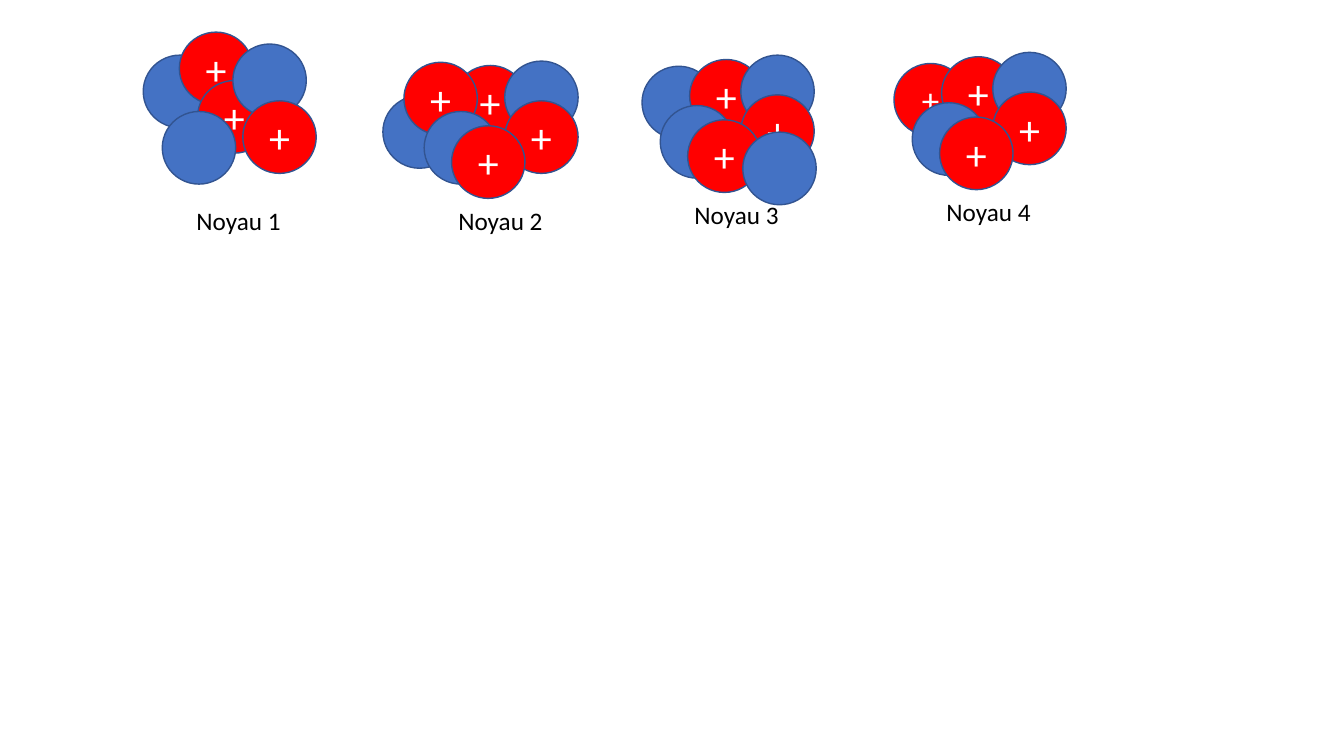
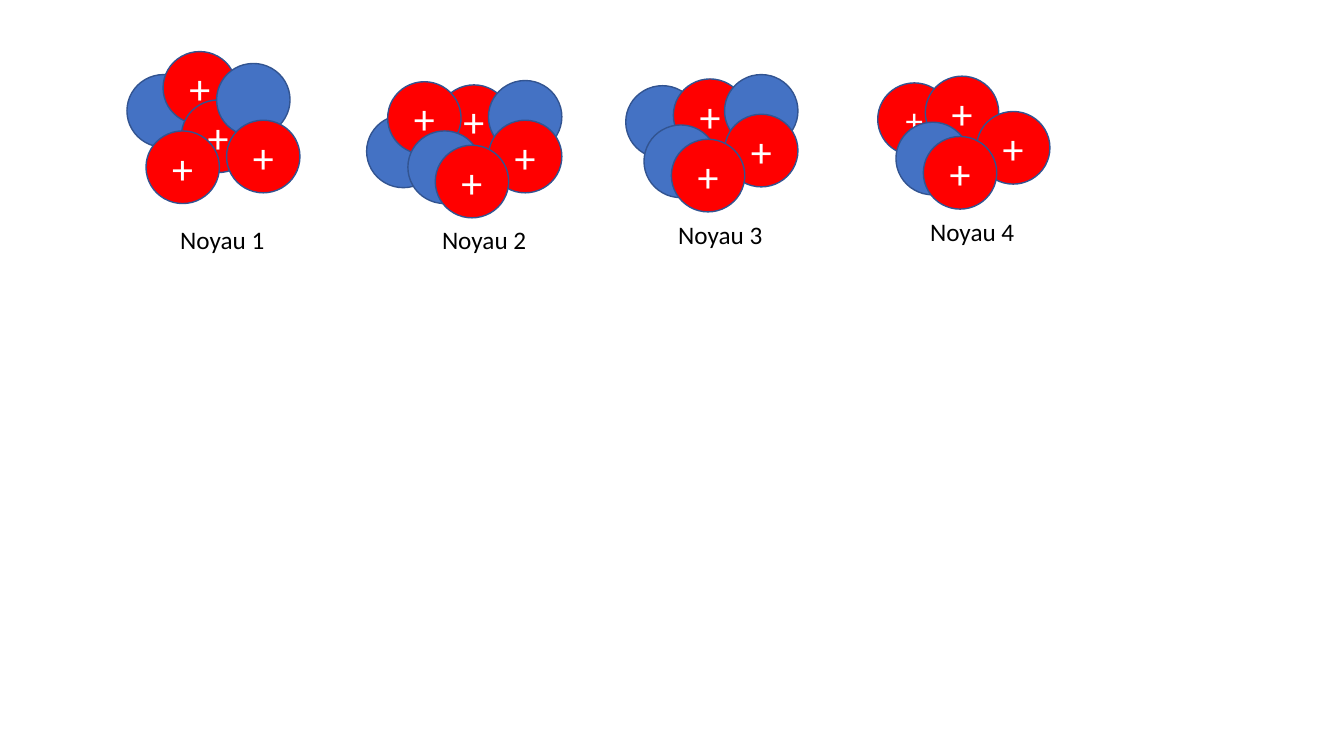
import dataclasses
import typing

import pptx
import pptx.dml.color
import pptx.enum.shapes
import pptx.enum.text
import pptx.slide
import pptx.util

Cm = pptx.util.Cm
RGBColor = pptx.dml.color.RGBColor

RED = RGBColor(0xFF, 0x00, 0x00)
BLUE = RGBColor(0x44, 0x72, 0xC4)
EDGE = RGBColor(0x32, 0x54, 0x91)
WHITE = RGBColor(0xFF, 0xFF, 0xFF)
BLACK = RGBColor(0x00, 0x00, 0x00)
FONT = "Calibri"


class Spot(typing.NamedTuple):
    x: float
    y: float


@dataclasses.dataclass(frozen=True)
class Ball:
    spot: Spot
    fill: RGBColor
    size: int = 30


@dataclasses.dataclass(frozen=True)
class Core:
    name: str
    spot: Spot
    balls: tuple[Ball, ...]


BACK = Spot(-1.07, -3.23)
MID = Spot(0.13, -3.4)
TOP = Spot(1.42, -3.51)
RIGHT = Spot(1.42, -2.51)
LOW = Spot(-0.61, -2.24)
FRONT = Spot(0.08, -1.88)

CLUMP = (
    Ball(Spot(-1.09, -3.66), BLUE),
    Ball(Spot(-0.18, -4.24), RED),
    Ball(Spot(0.28, -3.02), RED),
    Ball(Spot(1.17, -3.94), BLUE),
    Ball(RIGHT, RED),
)
REAR = (
    Ball(Spot(-1.65, -2.64), BLUE),
    Ball(MID, RED),
    Ball(Spot(-1.12, -3.48), RED),
)
CROWN = (Ball(TOP, BLUE),)
BASE = (Ball(RIGHT, RED), Ball(LOW, BLUE), Ball(FRONT, RED))
THIRD = (Ball(BACK, BLUE), Ball(MID, RED)) + CROWN + BASE
FOURTH = (Ball(BACK, RED, 25), Ball(MID, RED))
EXTRA = (Ball(Spot(1.47, -1.57), BLUE),)

SPOTS = (Spot(4.7, 5.05), Spot(11.3, 5.05), Spot(17.25, 4.9), Spot(23.6, 4.83))


def make_row(shift: Spot, *groups: tuple[Ball, ...]) -> list[Core]:
    return [
        Core(f"Noyau {num}", Spot(spot.x + shift.x, spot.y + shift.y), balls)
        for num, (spot, balls) in enumerate(zip(SPOTS, groups), 1)
    ]


ROWS = (
    make_row(
        Spot(0, 0),
        CLUMP + (Ball(LOW, BLUE),),
        REAR + CROWN + BASE,
        THIRD + EXTRA,
        FOURTH + CROWN + BASE,
    ),
    make_row(
        Spot(-0.41, 0.49),
        CLUMP + (Ball(LOW, RED),),
        REAR + CROWN + BASE,
        THIRD,
        FOURTH + BASE,
    ),
)


def set_font(font: typing.Any, size: int, color: RGBColor) -> None:
    font.name = FONT
    font.size = pptx.util.Pt(size)
    font.color.rgb = color


def draw_ball(slide: pptx.slide.Slide, ball: Ball, base: Spot) -> None:
    shape = slide.shapes.add_shape(
        pptx.enum.shapes.MSO_SHAPE.OVAL,
        Cm(base.x + ball.spot.x), Cm(base.y + ball.spot.y), Cm(1.85), Cm(1.83),
    )
    shape.shadow.inherit = False
    shape.fill.solid()
    shape.fill.fore_color.rgb = ball.fill
    shape.line.color.rgb = EDGE
    shape.line.width = pptx.util.Pt(1)
    if ball.fill == RED:
        frame = shape.text_frame
        frame.text = "+"
        frame.vertical_anchor = pptx.enum.text.MSO_ANCHOR.MIDDLE
        line = frame.paragraphs[0]
        line.alignment = pptx.enum.text.PP_ALIGN.CENTER
        set_font(line.runs[0].font, ball.size, WHITE)


def draw_core(slide: pptx.slide.Slide, core: Core) -> None:
    label = slide.shapes.add_textbox(
        Cm(core.spot.x), Cm(core.spot.y), Cm(2.87), Cm(1.02)
    )
    frame = label.text_frame
    frame.word_wrap = True
    frame.auto_size = pptx.enum.text.MSO_AUTO_SIZE.SHAPE_TO_FIT_TEXT
    frame.text = core.name
    set_font(frame.paragraphs[0].runs[0].font, 18, BLACK)
    for ball in core.balls:
        draw_ball(slide, ball, core.spot)


def main() -> None:
    deck = pptx.Presentation()
    deck.slide_width = Cm(33.87)
    deck.slide_height = Cm(19.05)
    for row in ROWS:
        slide = deck.slides.add_slide(deck.slide_layouts[6])
        for core in row:
            draw_core(slide, core)
    deck.save("out.pptx")


if __name__ == "__main__":
    main()
